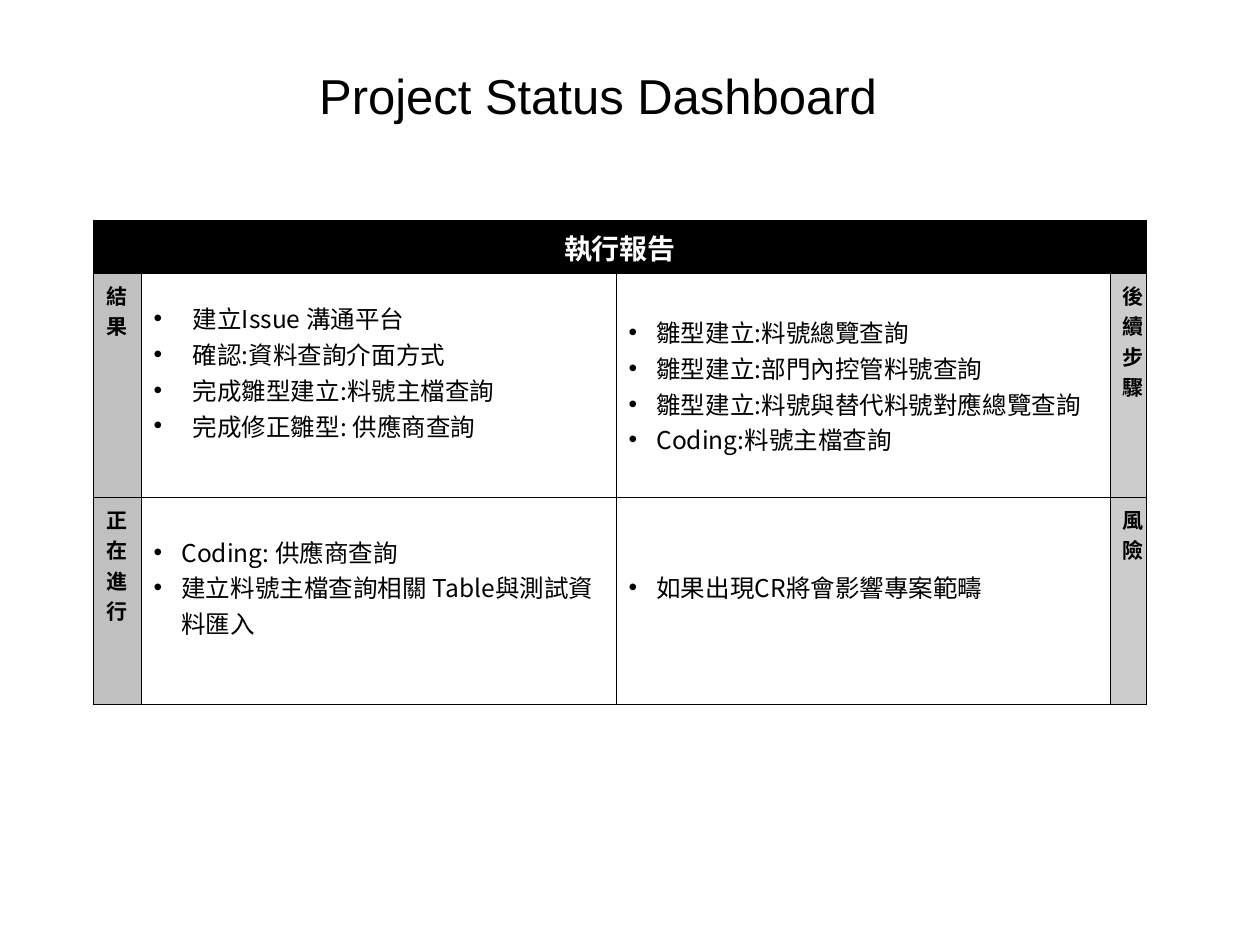
from dataclasses import dataclass

from lxml.etree import SubElement
from pptx import Presentation
from pptx.dml.color import RGBColor
from pptx.enum.text import MSO_ANCHOR, MSO_AUTO_SIZE, PP_ALIGN
from pptx.oxml import parse_xml
from pptx.oxml.ns import nsdecls, qn
from pptx.util import Inches, Pt


@dataclass(frozen=True)
class Theme:
    ink: str = "000000"
    paper: str = "FFFFFF"
    left: str = "C0C0C0"
    right: str = "CCCCCC"
    latin: str = "Arial"
    cjk: str = "Noto Sans CJK TC"
    title: int = 28
    head: int = 16
    body: int = 14
    label: int = 12
    thin: float = 0.45
    thick: float = 0.96


class Board:
    def __init__(self, slide, theme):
        self.slide = slide
        self.theme = theme

    def style(self, para, size, color, face, bold=False):
        for run in para.runs:
            font = run.font
            font.size = Pt(size)
            font.bold = bold
            font.color.rgb = RGBColor.from_string(color)
            font.name = face
            SubElement(run._r.get_or_add_rPr(), qn("a:ea"), typeface=face)

    def title(self, text, left, top, width, height):
        box = self.slide.shapes.title
        box.left, box.top = Inches(left), Inches(top)
        box.width, box.height = Inches(width), Inches(height)
        frame = box.text_frame
        frame.text = text
        frame.auto_size = MSO_AUTO_SIZE.NONE
        frame.vertical_anchor = MSO_ANCHOR.MIDDLE
        para = frame.paragraphs[0]
        para.alignment = PP_ALIGN.CENTER
        self.style(para, self.theme.title, self.theme.ink, self.theme.latin)

    def table(self, left, top, cols, rows):
        frame = self.slide.shapes.add_table(
            len(rows), len(cols), Inches(left), Inches(top),
            Inches(sum(cols)), Inches(sum(rows)))
        grid = frame.table
        grid.first_row = grid.horz_banding = False
        for col, width in zip(grid.columns, cols):
            col.width = Inches(width)
        for row, height in zip(grid.rows, rows):
            row.height = Inches(height)
        last = len(cols) - 1
        for row in grid.rows:
            for spot, cell in enumerate(row.cells):
                cell.fill.background()
                self.border(cell, spot == 0, spot == last)
        return grid

    def border(self, cell, first, last):
        theme = self.theme
        sides = {"L": first, "R": last, "T": False, "B": False}
        props = cell._tc.get_or_add_tcPr()
        for spot, (side, outer) in enumerate(sides.items()):
            width = Pt(theme.thick if outer else theme.thin)
            props.insert(spot, parse_xml(
                f'<a:ln{side} {nsdecls("a")} w="{width}"><a:solidFill>'
                f'<a:srgbClr val="{theme.ink}"/></a:solidFill></a:ln{side}>'))

    def label(self, cell, text, fill, size, color, align, anchor=MSO_ANCHOR.TOP):
        cell.fill.solid()
        cell.fill.fore_color.rgb = RGBColor.from_string(fill)
        cell.vertical_anchor = anchor
        cell.text_frame.text = text
        para = cell.text_frame.paragraphs[0]
        para.alignment = align
        self.style(para, size, color, self.theme.cjk, True)

    def bullets(self, cell, items, indent, base):
        cell.vertical_anchor = MSO_ANCHOR.MIDDLE
        cell.margin_bottom = Inches(base)
        frame = cell.text_frame
        frame.text = "\n".join(items)
        for para in frame.paragraphs:
            props = para._p.get_or_add_pPr()
            props.set("marL", str(Inches(indent)))
            props.set("indent", str(-Inches(indent)))
            SubElement(props, qn("a:buFont"), typeface=self.theme.latin)
            SubElement(props, qn("a:buChar"), char="•")
            self.style(para, self.theme.body, self.theme.ink, self.theme.cjk)


def main():
    deck = Presentation()
    deck.slide_width, deck.slide_height = Inches(10), Inches(7.5)
    theme = Theme()
    board = Board(deck.slides.add_slide(deck.slide_layouts[5]), theme)
    board.title("Project Status Dashboard ", 0.5, 0.44, 8.6, 0.63)

    grid = board.table(0.74, 1.75, [0.38, 3.77, 3.92, 0.29], [0.39, 1.78, 1.64])
    grid.cell(0, 0).merge(grid.cell(0, 3))
    board.label(grid.cell(0, 0), "執行報告", theme.ink, theme.head,
                theme.paper, PP_ALIGN.CENTER, MSO_ANCHOR.MIDDLE)

    labels = [("結果", "後續步驟"), ("正在進行", "風險")]
    looks = [(0, theme.left, PP_ALIGN.CENTER), (3, theme.right, PP_ALIGN.LEFT)]
    for row, pair in enumerate(labels, 1):
        for text, (col, fill, align) in zip(pair, looks):
            board.label(grid.cell(row, col), text, fill, theme.label,
                        theme.ink, align)

    lists = [
        (1, 1, 0.31, 0.27, ["建立Issue 溝通平台", "確認:資料查詢介面方式",
                            "完成雛型建立:料號主檔查詢", "完成修正雛型: 供應商查詢"]),
        (1, 2, 0.22, 0.05, ["雛型建立:料號總覽查詢", "雛型建立:部門內控管料號查詢",
                            "雛型建立:料號與替代料號對應總覽查詢",
                            "Coding:料號主檔查詢"]),
        (2, 1, 0.22, 0.27, ["Coding: 供應商查詢",
                            "建立料號主檔查詢相關 Table與測試資料匯入"]),
        (2, 2, 0.22, 0.27, ["如果出現CR將會影響專案範疇"]),
    ]
    for row, col, indent, base, items in lists:
        board.bullets(grid.cell(row, col), items, indent, base)

    deck.save("out.pptx")


if __name__ == "__main__":
    main()
